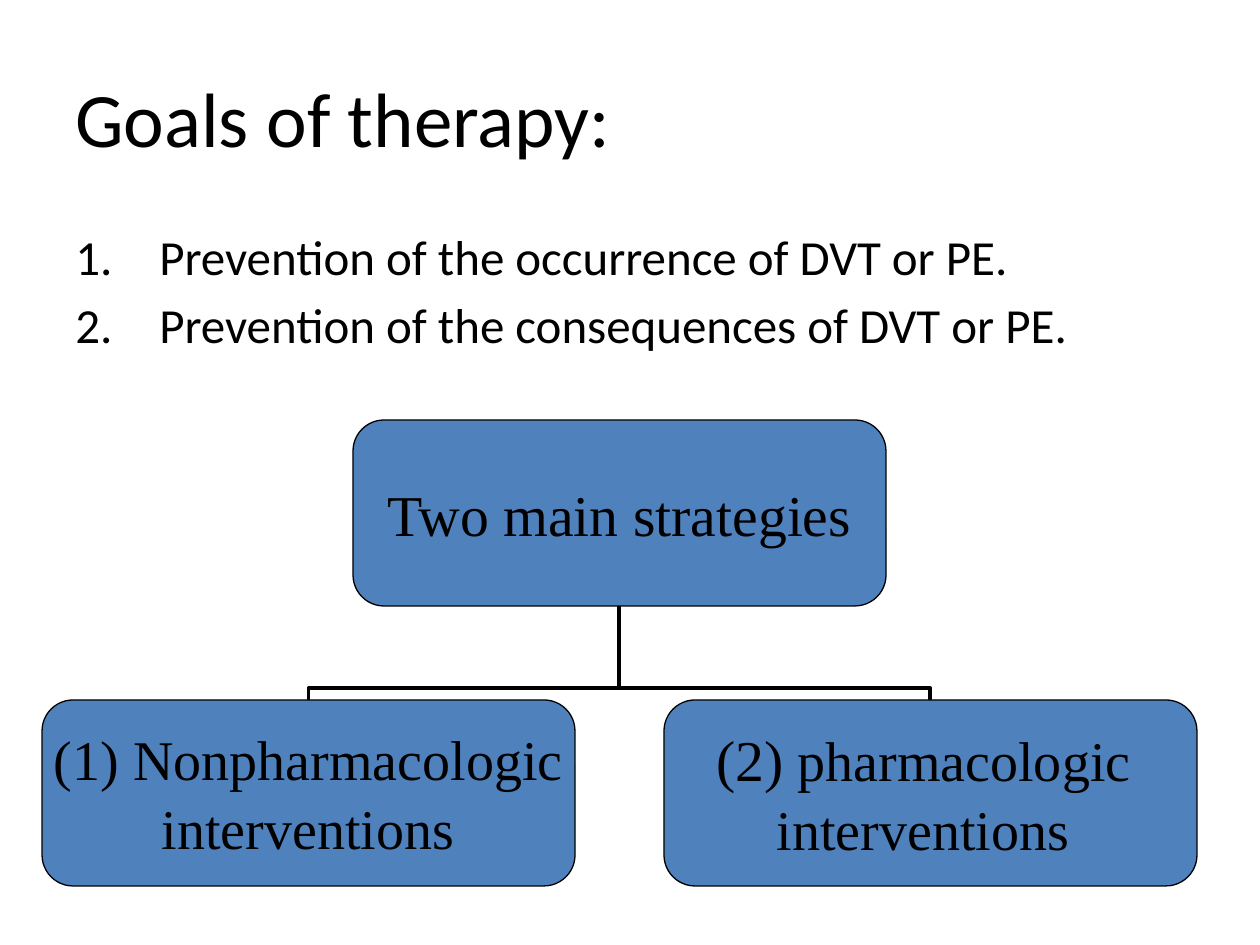
from dataclasses import dataclass

from lxml.etree import SubElement
from pptx import Presentation
from pptx.dml.color import RGBColor
from pptx.enum.shapes import MSO_CONNECTOR, MSO_SHAPE
from pptx.enum.text import MSO_ANCHOR, PP_ALIGN
from pptx.oxml.ns import qn
from pptx.util import Emu, Pt


@dataclass(frozen=True)
class Theme:
    ink: RGBColor = RGBColor(0, 0, 0)
    box_fill: RGBColor = RGBColor(0x4F, 0x81, 0xBD)
    sans: str = "Calibri"
    serif: str = "Times New Roman"
    title: int = 44
    body: int = 28
    box_large: int = 33
    box_small: int = 32
    goal_gap: float = 5.6
    outline: float = 0.75
    branch: float = 2.25


THEME = Theme()
BOX_WIDTH, BOX_HEIGHT = 533, 186


def px(length):
    return Emu(round(length * 914400 / 126))


def add_span(para, text, size, font):
    span = para.add_run()
    span.text = text
    span.font.size = Pt(size)
    span.font.name = font
    span.font.color.rgb = THEME.ink


def set_indent(para, indent, numbering=None):
    properties = para._p.get_or_add_pPr()
    properties.set("marL", str(px(indent)))
    properties.set("indent", str(-px(indent)))
    if numbering:
        SubElement(properties, qn("a:buAutoNum"), type=numbering)
    else:
        SubElement(properties, qn("a:buNone"))


def next_para(frame, index):
    return frame.add_paragraph() if index else frame.paragraphs[0]


def add_text_frame(page, left, top, width, height):
    frame = page.shapes.add_textbox(*map(px, (left, top, width, height))).text_frame
    frame.word_wrap = True
    return frame


def add_title(page, text):
    frame = add_text_frame(page, 63, 38, 1134, 157)
    frame.vertical_anchor = MSO_ANCHOR.MIDDLE
    add_span(frame.paragraphs[0], text, THEME.title, THEME.sans)


def add_goals(page, goals):
    frame = add_text_frame(page, 63, 220, 1134, 220)
    for index, goal in enumerate(goals):
        para = next_para(frame, index)
        if index:
            para.space_before = Pt(THEME.goal_gap)
        set_indent(para, 84, "arabicPeriod")
        add_span(para, goal, THEME.body, THEME.sans)


def add_box(page, left, top, lines, numbered=False):
    box = page.shapes.add_shape(
        MSO_SHAPE.ROUNDED_RECTANGLE, *map(px, (left, top, BOX_WIDTH, BOX_HEIGHT))
    )
    box.shadow.inherit = False
    box.fill.solid()
    box.fill.fore_color.rgb = THEME.box_fill
    box.line.color.rgb = THEME.ink
    box.line.width = Pt(THEME.outline)
    frame = box.text_frame
    frame.word_wrap = False
    frame.vertical_anchor = MSO_ANCHOR.MIDDLE
    frame.margin_left = frame.margin_right = frame.margin_top = frame.margin_bottom = 0
    for index, spans in enumerate(lines):
        para = next_para(frame, index)
        para.alignment = PP_ALIGN.CENTER
        if numbered:
            set_indent(para, 48, None if index else "arabicParenBoth")
        for text, size in spans:
            add_span(para, text, size, THEME.serif)


def add_branch(page, parent, child):
    parent_x, parent_y = parent
    child_x, child_y = child
    drop, reach = child_y - parent_y, abs(child_x - parent_x)
    left = (parent_x + child_x - drop) / 2
    top = (parent_y + child_y - reach) / 2
    ends = [left, left + drop]
    turn = 270
    if child_x > parent_x:
        ends.reverse()
        turn = 90
    branch = page.shapes.add_connector(
        MSO_CONNECTOR.ELBOW, px(ends[0]), px(top), px(ends[1]), px(top + reach)
    )
    branch.line.color.rgb = THEME.ink
    branch.line.width = Pt(THEME.branch)
    properties = branch.element.spPr
    properties.find(qn("a:xfrm")).set("rot", str(turn * 60000))
    guides = properties.find(qn("a:prstGeom")).find(qn("a:avLst"))
    SubElement(guides, qn("a:gd"), name="adj1", fmla="val 12600")
    SubElement(properties, qn("a:effectLst"))


def add_strategies(page):
    parent_left, parent_top = 353, 420
    child_top, offset = 700, 311
    large, small = THEME.box_large, THEME.box_small
    center = parent_left + BOX_WIDTH / 2
    for shift in (offset, -offset):
        add_branch(page, (center, parent_top + BOX_HEIGHT), (center + shift, child_top))
    add_box(page, parent_left, parent_top, [[("Two main strategies", large)]])
    add_box(
        page, parent_left - offset, child_top,
        [[(" Nonpharmacologic", small)], [(" interventions", small), (" ", large)]],
        numbered=True,
    )
    add_box(
        page, parent_left + offset, child_top,
        [[("(2) ", large), ("pharmacologic ", small)], [("interventions", small), (" ", large)]],
    )


def main():
    deck = Presentation()
    deck.slide_width, deck.slide_height = px(1260), px(945)
    page = deck.slides.add_slide(deck.slide_layouts[6])
    add_title(page, "Goals of therapy:")
    add_goals(page, [
        "Prevention of the occurrence of DVT or PE.",
        "Prevention of the consequences of DVT or PE.",
    ])
    add_strategies(page)
    deck.save("out.pptx")


if __name__ == "__main__":
    main()
